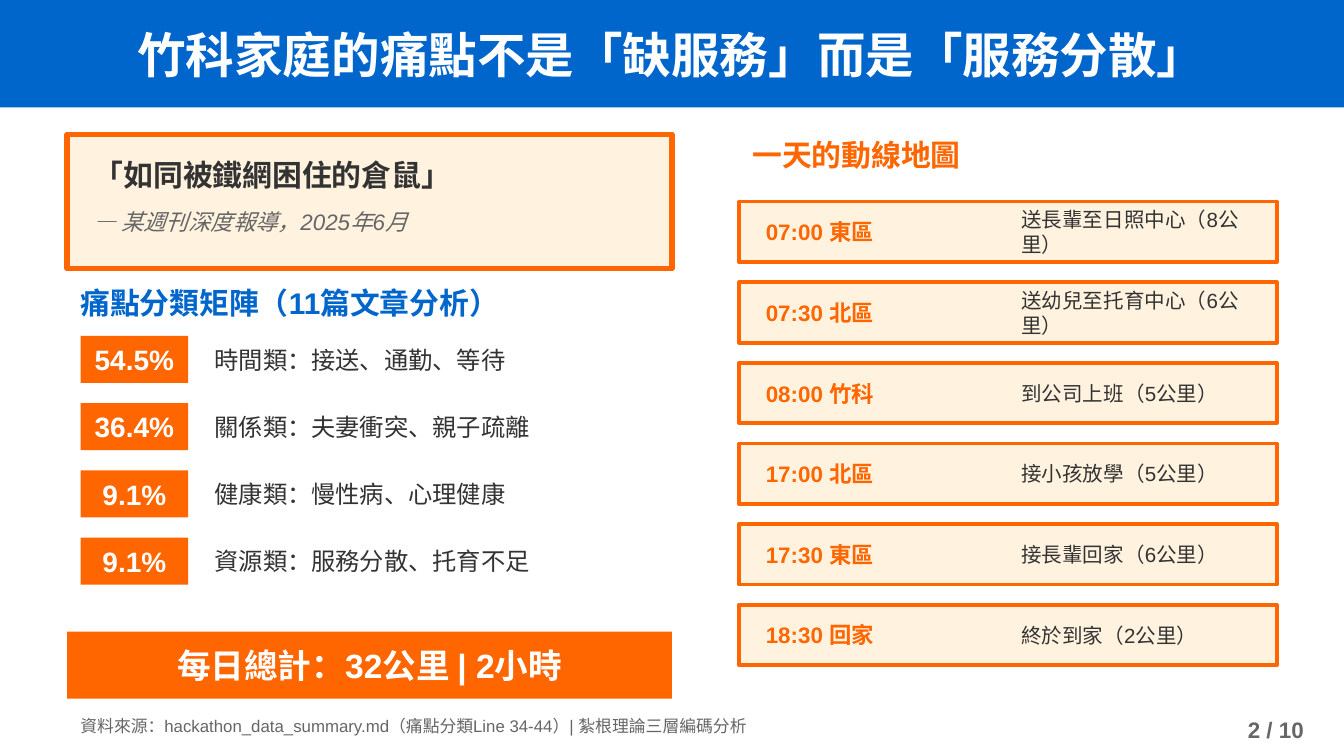
from pptx import Presentation
from pptx.dml.color import RGBColor
from pptx.enum.shapes import MSO_SHAPE
from pptx.enum.text import MSO_ANCHOR, MSO_AUTO_SIZE, PP_ALIGN
from pptx.util import Pt

RECT = MSO_SHAPE.RECTANGLE
MIDDLE = MSO_ANCHOR.MIDDLE
LEFT, CENTER, RIGHT = PP_ALIGN.LEFT, PP_ALIGN.CENTER, PP_ALIGN.RIGHT
PX = 9144  # 100 px to the inch
BLUE, ORANGE, CREAM = "0066CC", "FF6600", "FFF3E0"
DARK, GRAY, WHITE = "333333", "666666", "FFFFFF"

rgb = RGBColor.from_string

prs = Presentation()
prs.slide_width, prs.slide_height = 1000 * PX, 1125 * PX // 2
s = prs.slides.add_slide(prs.slide_layouts[5])


def add_box(x, y, w, h, fill=None, line=None, line_width=0):
    """Add a rectangle, or a text box when there is no fill."""
    at = [v * PX for v in (x, y, w, h)]
    if fill is None:
        return s.shapes.add_textbox(*at)
    sp = s.shapes.add_shape(RECT, *at)
    sp.shadow.inherit = False
    sp.fill.solid()
    sp.fill.fore_color.rgb = rgb(fill)
    if line:
        sp.line.color.rgb = rgb(line)
        sp.line.width = Pt(line_width)
    else:
        sp.line.fill.background()
    return sp


def write(sp, text, size, color, bold=False, italic=False, align=LEFT):
    tf = sp.text_frame
    tf.text = text
    tf.word_wrap = True
    tf.auto_size = MSO_AUTO_SIZE.NONE
    tf.vertical_anchor = MIDDLE
    p = tf.paragraphs[0]
    p.alignment = align
    p.font.name = "Arial"
    p.font.size = Pt(size)
    p.font.bold = bold
    p.font.italic = italic
    p.font.color.rgb = rgb(color)


# Title on its band
title = s.shapes.title
title.left, title.top, title.width, title.height = [v * PX for v in (50, 20, 900, 40)]
write(title, "竹科家庭的痛點不是「缺服務」而是「服務分散」", 26, WHITE, bold=True, align=CENTER)
band = add_box(0, 0, 1000, 80, BLUE)
title._element.addprevious(band._element)  # band goes behind the title

# Quote
add_box(50, 100, 450, 100, CREAM, ORANGE, 3)
write(add_box(60, 115, 430, 30), "「如同被鐵網困住的倉鼠」", 16, DARK, bold=True)
write(add_box(60, 150, 430, 30), "— 某週刊深度報導，2025年6月", 12, GRAY, italic=True)

# Pain point matrix
write(add_box(50, 210, 450, 30), "痛點分類矩陣（11篇文章分析）", 16, BLUE, bold=True)
pain_points = [
    ("54.5%", "時間類：接送、通勤、等待"),
    ("36.4%", "關係類：夫妻衝突、親子疏離"),
    ("9.1%", "健康類：慢性病、心理健康"),
    ("9.1%", "資源類：服務分散、托育不足"),
]
for i, (share, label) in enumerate(pain_points):
    y = 250 + 50 * i
    write(add_box(60, y, 80, 35, ORANGE), share, 15, WHITE, bold=True, align=CENTER)
    write(add_box(150, y, 340, 35), label, 13, DARK)

# Daily route
write(add_box(550, 100, 400, 30), "一天的動線地圖", 16, ORANGE, bold=True)
stops = [
    ("07:00 東區", "送長輩至日照中心（8公里）"),
    ("07:30 北區", "送幼兒至托育中心（6公里）"),
    ("08:00 竹科", "到公司上班（5公里）"),
    ("17:00 北區", "接小孩放學（5公里）"),
    ("17:30 東區", "接長輩回家（6公里）"),
    ("18:30 回家", "終於到家（2公里）"),
]
for i, (stop, errand) in enumerate(stops):
    y = 150 + 60 * i
    add_box(550, y, 400, 45, CREAM, ORANGE, 2)
    write(add_box(560, y + 5, 180, 35), stop, 12, ORANGE, bold=True)
    write(add_box(750, y + 5, 190, 35), errand, 11, DARK)

# Daily total and footer
write(add_box(50, 470, 450, 50, ORANGE), "每日總計：32公里 | 2小時", 18, WHITE, bold=True, align=CENTER)
write(add_box(50, 530, 850, 20),
      "資料來源：hackathon_data_summary.md（痛點分類Line 34-44）| 紮根理論三層編碼分析", 9, GRAY)
write(add_box(900, 530, 80, 25), "2 / 10", 12, GRAY, bold=True, align=RIGHT)

prs.save("out.pptx")
